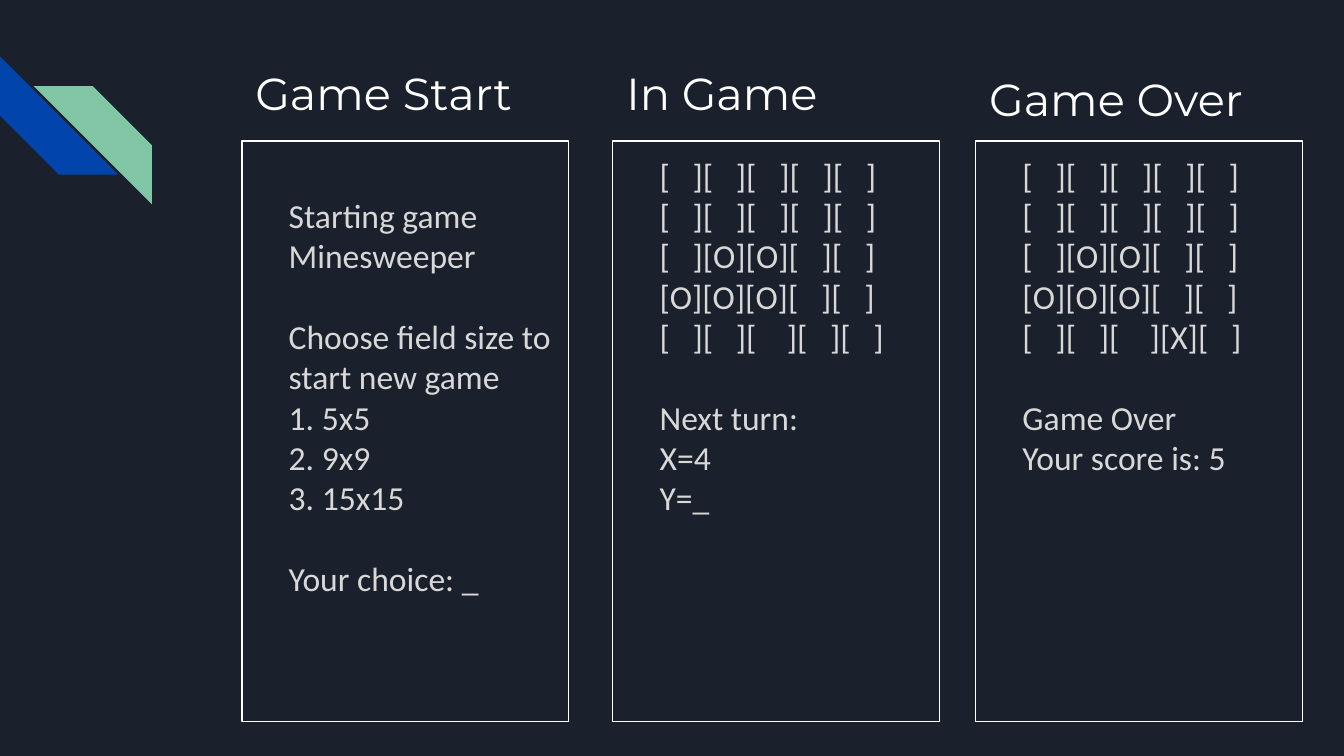
from pptx import Presentation
from pptx.dml.color import RGBColor
from pptx.enum.shapes import MSO_SHAPE
from pptx.enum.text import MSO_ANCHOR, MSO_AUTO_SIZE, PP_ALIGN
from pptx.util import Inches, Pt

STRIPE = MSO_SHAPE.DIAGONAL_STRIPE
RECTANGLE = MSO_SHAPE.RECTANGLE
TOP = MSO_ANCHOR.TOP
NO_AUTOFIT = MSO_AUTO_SIZE.NONE
LEFT = PP_ALIGN.LEFT

COLORS = {
    "background": "1B212C",
    "blue": "0145AC",
    "green": "82C7A5",
    "white": "FFFFFF",
    "text": "D8D8D8",
}
COMPARISON_LAYOUT = 4
SLIDE_WIDTH = 10
SLIDE_HEIGHT = SLIDE_WIDTH * 9 / 16
PANEL_WIDTH = 2.43
PANEL_TOP = 1.05
PANEL_HEIGHT = 4.32
HEADING_HEIGHT = 0.57
STRIPE_SIZE = 0.88
INSET = 0.1
LINE_HEIGHT = 21.6

CELL = "[   ]"
EMPTY_ROW = CELL * 5
OPENED_ROWS = [
    EMPTY_ROW,
    EMPTY_ROW,
    CELL + "[O][O]" + CELL * 2,
    "[O][O][O]" + CELL * 2,
]
LAST_ROW_START = CELL * 2 + "[    ]"

START_SCREEN = [
    ["Starting game\vMinesweeper"],
    ["Choose field size to start new game", "1. 5x5", "2. 9x9", "3. 15x15"],
    ["Your choice: _"],
]
TURN_SCREEN = [
    OPENED_ROWS + [LAST_ROW_START + CELL * 2],
    ["Next turn:\vX=4\vY=_"],
]
OVER_SCREEN = [
    OPENED_ROWS + [LAST_ROW_START + "[X]" + CELL],
    ["Game Over\vYour score is: 5"],
]
SCREENS = [
    ("Game Start", 0, 1.8, 0.39, 1, START_SCREEN),
    ("In Game", 1, 4.56, 0.39, 0, TURN_SCREEN),
    ("Game Over", 3, 7.26, 0.43, 0, OVER_SCREEN),
]


class SlideBuilder:
    heading_font = "Montserrat"
    heading_size = 24
    body_font = "Calibri"
    body_size = 18

    def __init__(self, slide):
        self.slide = slide

    def color(self, name):
        return RGBColor.from_string(COLORS[name])

    def background(self):
        fill = self.slide.background.fill
        fill.solid()
        fill.fore_color.rgb = self.color("background")

    def frame(self, text_frame, top_inset=INSET):
        text_frame.word_wrap = True
        text_frame.auto_size = NO_AUTOFIT
        text_frame.vertical_anchor = TOP
        text_frame.margin_left = text_frame.margin_right = Inches(INSET)
        text_frame.margin_top = Inches(top_inset)
        text_frame.margin_bottom = Inches(INSET)

    def format(self, paragraph, font_name, size, color):
        paragraph.alignment = LEFT
        paragraph.line_spacing = 1
        paragraph.space_before = paragraph.space_after = Pt(0)
        for run in paragraph.runs:
            run.font.name = font_name
            run.font.size = Pt(size)
            run.font.bold = False
            run.font.color.rgb = self.color(color)

    def stripe(self, left, top, rotation, color):
        stripe = self.slide.shapes.add_shape(
            STRIPE, Inches(left), Inches(top), Inches(STRIPE_SIZE), Inches(STRIPE_SIZE))
        stripe.adjustments[0] = 0.5
        stripe.rotation = rotation
        stripe.shadow.inherit = False
        stripe.fill.solid()
        stripe.fill.fore_color.rgb = self.color(color)
        stripe.line.fill.background()

    def heading(self, index, text, left, top):
        heading = self.slide.placeholders[index]
        heading.left, heading.top = Inches(left), Inches(top)
        heading.width, heading.height = Inches(PANEL_WIDTH), Inches(HEADING_HEIGHT)
        heading.text_frame.text = text
        self.frame(heading.text_frame)
        self.format(heading.text_frame.paragraphs[0],
                    self.heading_font, self.heading_size, "white")

    def panel(self, left, lead_lines, blocks):
        panel = self.slide.shapes.add_shape(
            RECTANGLE, Inches(left), Inches(PANEL_TOP),
            Inches(PANEL_WIDTH), Inches(PANEL_HEIGHT))
        panel.shadow.inherit = False
        panel.fill.background()
        panel.line.color.rgb = self.color("white")
        panel.line.width = Pt(0.75)
        text_frame = panel.text_frame
        self.frame(text_frame, INSET + lead_lines * LINE_HEIGHT / 72)
        paragraph = text_frame.paragraphs[0]
        for block_number, block in enumerate(blocks):
            for line_number, line in enumerate(block):
                if block_number or line_number:
                    paragraph = text_frame.add_paragraph()
                paragraph.text = line
                self.format(paragraph, self.body_font, self.body_size, "text")
                properties = paragraph._p.get_or_add_pPr()
                properties.set("marL", str(Inches(0.25)))
                properties.set("indent", "0")
                if block_number and line_number == 0:
                    paragraph.space_before = Pt(LINE_HEIGHT)

    def remove_empty_placeholders(self):
        for placeholder in list(self.slide.placeholders):
            if not placeholder.text_frame.text:
                placeholder.element.getparent().remove(placeholder.element)


def main():
    presentation = Presentation()
    presentation.slide_width = Inches(SLIDE_WIDTH)
    presentation.slide_height = Inches(SLIDE_HEIGHT)
    layout = presentation.slide_layouts[COMPARISON_LAYOUT]
    builder = SlideBuilder(presentation.slides.add_slide(layout))
    builder.background()
    builder.stripe(0, 0.42, 270, "blue")
    builder.stripe(0.25, 0.64, 90, "green")
    for heading, index, left, top, lead_lines, blocks in SCREENS:
        builder.heading(index, heading, left, top)
        builder.panel(left, lead_lines, blocks)
    builder.remove_empty_placeholders()
    presentation.save("out.pptx")


if __name__ == "__main__":
    main()
